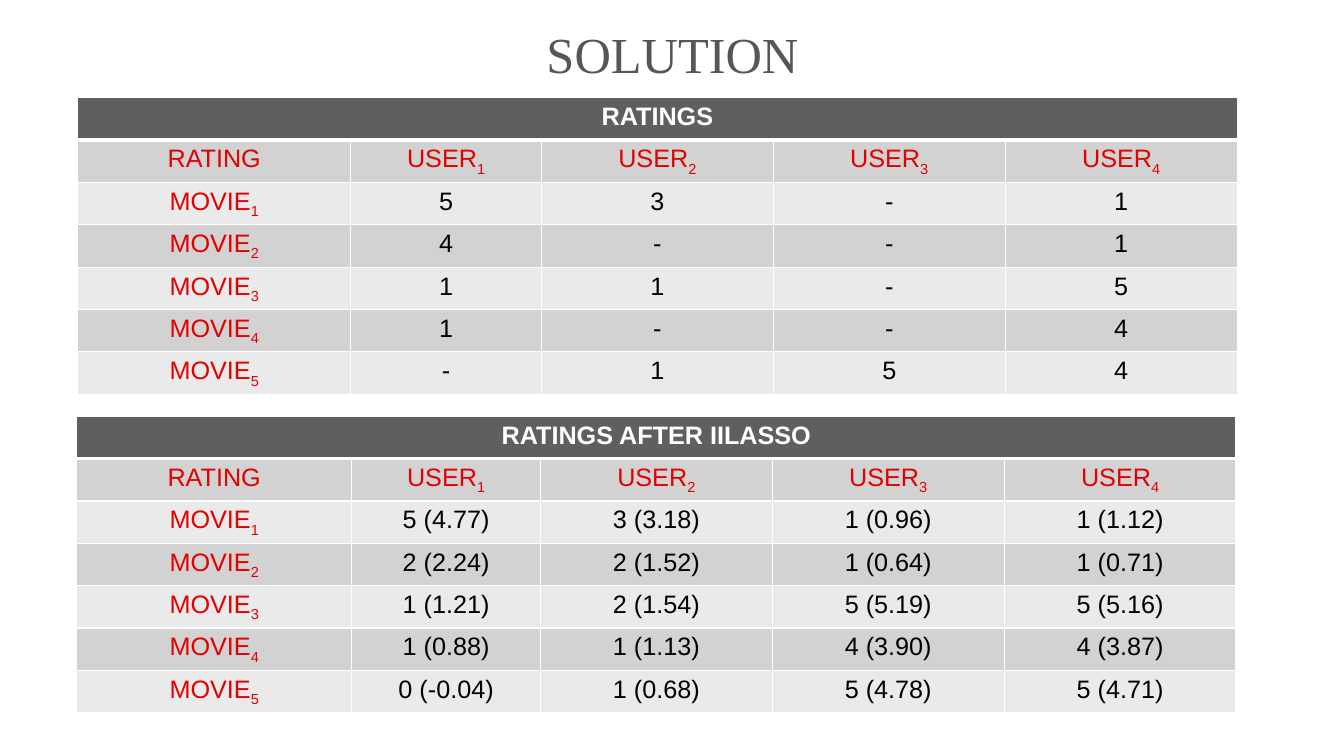
from lxml import etree
from pptx import Presentation
from pptx.dml.color import RGBColor
from pptx.enum.text import MSO_ANCHOR, PP_ALIGN
from pptx.oxml.ns import qn
from pptx.util import Inches, Pt

CENTER = PP_ALIGN.CENTER
MIDDLE = MSO_ANCHOR.MIDDLE
TITLE_ONLY = 5

COLORS = {
    "title": "53575C",
    "banner": "5F5F5F",
    "dark_band": "D2D2D2",
    "light_band": "EAEAEA",
    "label": "E30000",
    "value": "000000",
    "white": "FFFFFF",
}
ROW_HEIGHT = 0.42
USERS = 4

RATINGS = [
    ["5", "3", "-", "1"],
    ["4", "-", "-", "1"],
    ["1", "1", "-", "5"],
    ["1", "-", "-", "4"],
    ["-", "1", "5", "4"],
]
PREDICTIONS = [
    ["5 (4.77)", "3 (3.18)", "1 (0.96)", "1 (1.12)"],
    ["2 (2.24)", "2 (1.52)", "1 (0.64)", "1 (0.71)"],
    ["1 (1.21)", "2 (1.54)", "5 (5.19)", "5 (5.16)"],
    ["1 (0.88)", "1 (1.13)", "4 (3.90)", "4 (3.87)"],
    ["0 (-0.04)", "1 (0.68)", "5 (4.78)", "5 (4.71)"],
]


def color(name):
    return RGBColor.from_string(COLORS[name])


def add_run(para, text, color_name, size=18, font="Arial", bold=False):
    run = para.add_run()
    run.text = text
    run.font.size = Pt(size)
    run.font.name = font
    run.font.bold = bold
    run.font.color.rgb = color(color_name)
    return run


def set_borders(cell, bottom_width):
    """Draw white cell borders; they must precede the fill in the XML."""
    properties = cell._tc.get_or_add_tcPr()
    widths = {"a:lnL": 1, "a:lnR": 1, "a:lnT": 1, "a:lnB": bottom_width}
    for position, (tag, width) in enumerate(widths.items()):
        line = etree.Element(qn(tag), w=str(Pt(width)))
        fill = etree.SubElement(line, qn("a:solidFill"))
        etree.SubElement(fill, qn("a:srgbClr"), val=COLORS["white"])
        properties.insert(position, line)


def fill_cell(cell, text, color_name, band, subscript="", bold=False, bottom_width=1):
    cell.fill.solid()
    cell.fill.fore_color.rgb = color(band)
    set_borders(cell, bottom_width)
    para = cell.text_frame.paragraphs[0]
    para.alignment = CENTER
    add_run(para, text, color_name, bold=bold)
    if subscript:
        index = add_run(para, subscript, color_name)
        index.font._element.set("baseline", "-25000")


def add_title(page, text):
    title = page.shapes.title
    title.left, title.top = Inches(0.67), Inches(0.21)
    title.width, title.height = Inches(12), Inches(0.64)
    title.text_frame.vertical_anchor = MIDDLE
    para = title.text_frame.paragraphs[0]
    para.alignment = CENTER
    add_run(para, text, "title", size=36, font="Times New Roman")


def add_rating_table(page, heading, ratings, left, top, column_widths):
    row_count = len(ratings) + 2
    frame = page.shapes.add_table(
        row_count, USERS + 1, Inches(left), Inches(top),
        Inches(sum(column_widths)), Inches(ROW_HEIGHT * row_count))
    table = frame.table
    for column, width in zip(table.columns, column_widths):
        column.width = Inches(width)
    for row in table.rows:
        row.height = Inches(ROW_HEIGHT)

    # Banner across all columns
    table.cell(0, 0).merge(table.cell(0, USERS))
    fill_cell(table.cell(0, 0), heading, "white", "banner", bold=True, bottom_width=3)

    # User headings
    fill_cell(table.cell(1, 0), "RATING", "label", "dark_band")
    for user in range(1, USERS + 1):
        fill_cell(table.cell(1, user), "USER", "label", "dark_band", str(user))

    # One banded row per movie
    for movie, values in enumerate(ratings, start=1):
        band = "light_band" if movie % 2 else "dark_band"
        fill_cell(table.cell(movie + 1, 0), "MOVIE", "label", band, str(movie))
        for user, value in enumerate(values, start=1):
            fill_cell(table.cell(movie + 1, user), value, "value", band)


def main():
    deck = Presentation()
    deck.slide_width, deck.slide_height = Inches(13.33), Inches(7.5)
    page = deck.slides.add_slide(deck.slide_layouts[TITLE_ONLY])
    add_title(page, "SOLUTION")
    add_rating_table(page, "RATINGS", RATINGS, 0.77, 0.97,
                     [2.71, 1.89, 2.3, 2.3, 2.3])
    add_rating_table(page, "RATINGS AFTER IILASSO", PREDICTIONS, 0.76, 4.13,
                     [2.73, 1.87, 2.3, 2.3, 2.3])
    deck.save("out.pptx")


if __name__ == "__main__":
    main()
